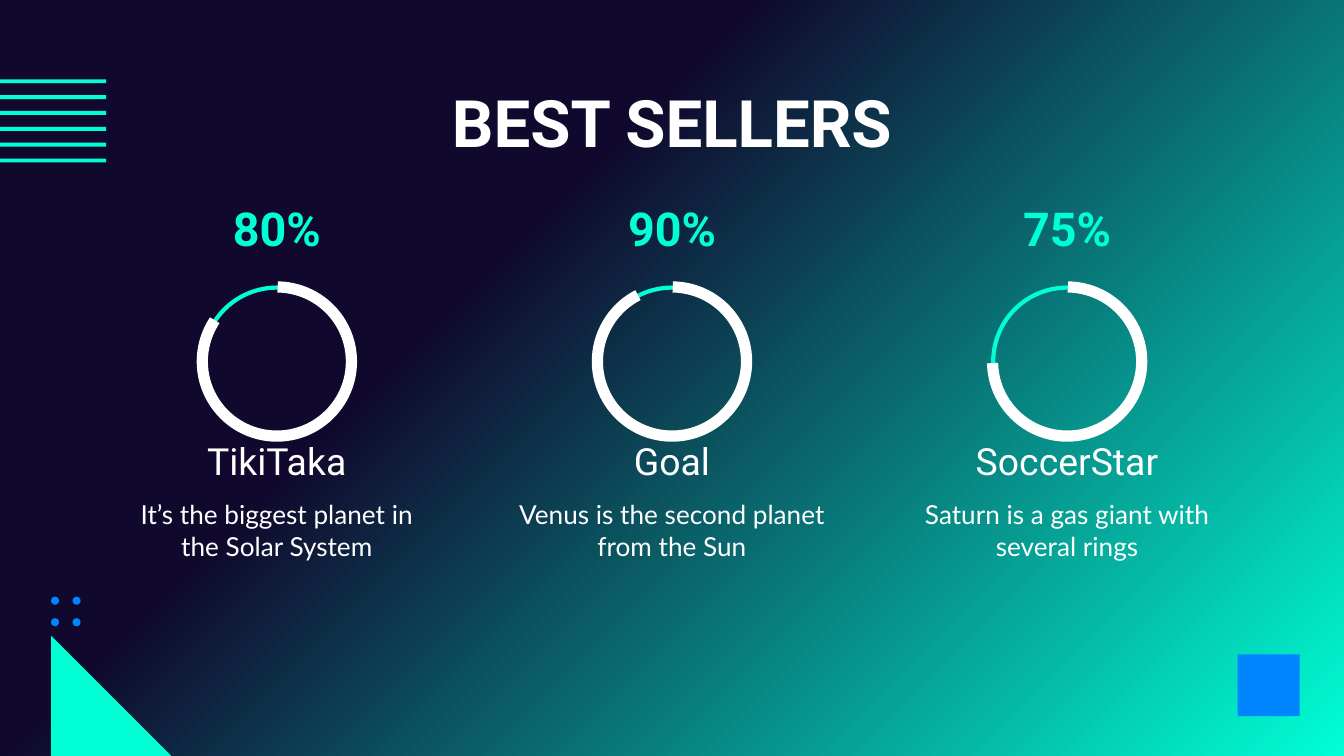
from copy import deepcopy

from pptx import Presentation
from pptx.dml.color import RGBColor
from pptx.enum.shapes import MSO_SHAPE
from pptx.enum.text import MSO_ANCHOR, PP_ALIGN
from pptx.util import Inches, Pt

NAVY, MINT, BLUE, WHITE = "10092D", "00FFD5", "0084FF", "FFFFFF"

TITLE = "BEST SELLERS"
# share, end angle of the ring in degrees, name, name colour, description
SELLERS = [
    ("80%", 213.6, "TikiTaka", "FFFEFC", "It’s the biggest planet in the Solar System"),
    ("90%", 242.9, "Goal", WHITE, "Venus is the second planet from the Sun"),
    ("75%", 178.8, "SoccerStar", WHITE, "Saturn is a gas giant with several rings"),
]

STYLES = {
    "title": {"name": "Roboto", "size": Pt(35), "bold": True},
    "share": {"name": "Roboto", "size": Pt(25), "bold": True},
    "name": {"name": "Roboto", "size": Pt(20)},
    "text": {"name": "Lato", "size": Pt(14)},
}


def rgb(value):
    return RGBColor.from_string(value)


def add_shape(kind, x, y, w, h, fill=None, line=None, weight=0):
    sp = s.shapes.add_shape(kind, Inches(x), Inches(y), Inches(w), Inches(h))
    sp.shadow.inherit = False
    if fill:
        sp.fill.solid()
        sp.fill.fore_color.rgb = rgb(fill)
    else:
        sp.fill.background()
    if line:
        sp.line.color.rgb = rgb(line)
        sp.line.width = Pt(weight)
    else:
        sp.line.fill.background()
    return sp


def add_text(text, style, center, y, w, h, color=WHITE,
             anchor=MSO_ANCHOR.MIDDLE, inset=0.1):
    box = s.shapes.add_textbox(Inches(center - w / 2), Inches(y), Inches(w), Inches(h))
    tf = box.text_frame
    tf.word_wrap = True
    tf.vertical_anchor = anchor
    for side in ("left", "top", "right", "bottom"):
        setattr(tf, f"margin_{side}", Inches(inset))
    p = tf.paragraphs[0]
    p.alignment = PP_ALIGN.CENTER
    r = p.add_run()
    r.text = text
    for key, value in STYLES[style].items():
        setattr(r.font, key, value)
    r.font.color.rgb = rgb(color)


# 16:9 slide
prs = Presentation()
prs.slide_width, prs.slide_height = Inches(10), Inches(10 * 9 / 16)
s = prs.slides.add_slide(prs.slide_layouts[6])

# Background: navy up to 36 %, then fading to mint at the lower right
fill = s.background.fill
fill.gradient()
fill.gradient_angle = 315
first = s.element.xpath(".//p:bgPr//a:gs")[0]
first.addnext(deepcopy(first))
for stop, (position, color) in zip(fill.gradient_stops,
                                   [(0, NAVY), (0.36, NAVY), (1, MINT)]):
    stop.position = position
    stop.color.rgb = rgb(color)

# Corner decorations
add_shape(MSO_SHAPE.RECTANGLE, 9.21, 4.87, 0.46, 0.46, BLUE)
add_shape(MSO_SHAPE.RIGHT_TRIANGLE, 0.38, 4.73, 0.91, 0.91, MINT)
for row in range(2):
    for col in range(2):
        add_shape(MSO_SHAPE.OVAL, 0.38 + 0.16 * col, 4.44 + 0.16 * row, 0.06, 0.06, BLUE)
for i in range(6):
    add_shape(MSO_SHAPE.RECTANGLE, 0, 0.59 + 0.59 * i / 5, 0.79, 0.03, MINT)

add_text(TITLE, "title", 5, 0.59, 8.43, 0.63)

# One column per seller: share, progress ring, name, description
PITCH, RING_Y, RING, ARC, ARC_START = 2.94, 2.69, 1.1, 1.11, 270.6
for i, (share, end, name, name_color, text) in enumerate(SELLERS):
    cx = 5 + PITCH * (i - 1)
    add_shape(MSO_SHAPE.OVAL, cx - RING / 2, RING_Y - RING / 2, RING, RING,
              line=MINT, weight=2.25)
    arc = add_shape(MSO_SHAPE.ARC, cx - ARC / 2, RING_Y - ARC / 2, ARC, ARC,
                    line=WHITE, weight=6)
    for n, degrees in enumerate((ARC_START, end)):
        # Angles are stored in 1/60000 degree, adjustments in 1/100000
        arc.adjustments[n] = degrees * 0.6
    add_text(share, "share", cx, 1.5, 2.35, 0.39, MINT, inset=0)
    add_text(name, "name", cx, 3.14, 2.56, 0.58, name_color)
    add_text(text, "text", cx, 3.61, 2.52, 0.78, anchor=MSO_ANCHOR.TOP)

prs.save("out.pptx")
